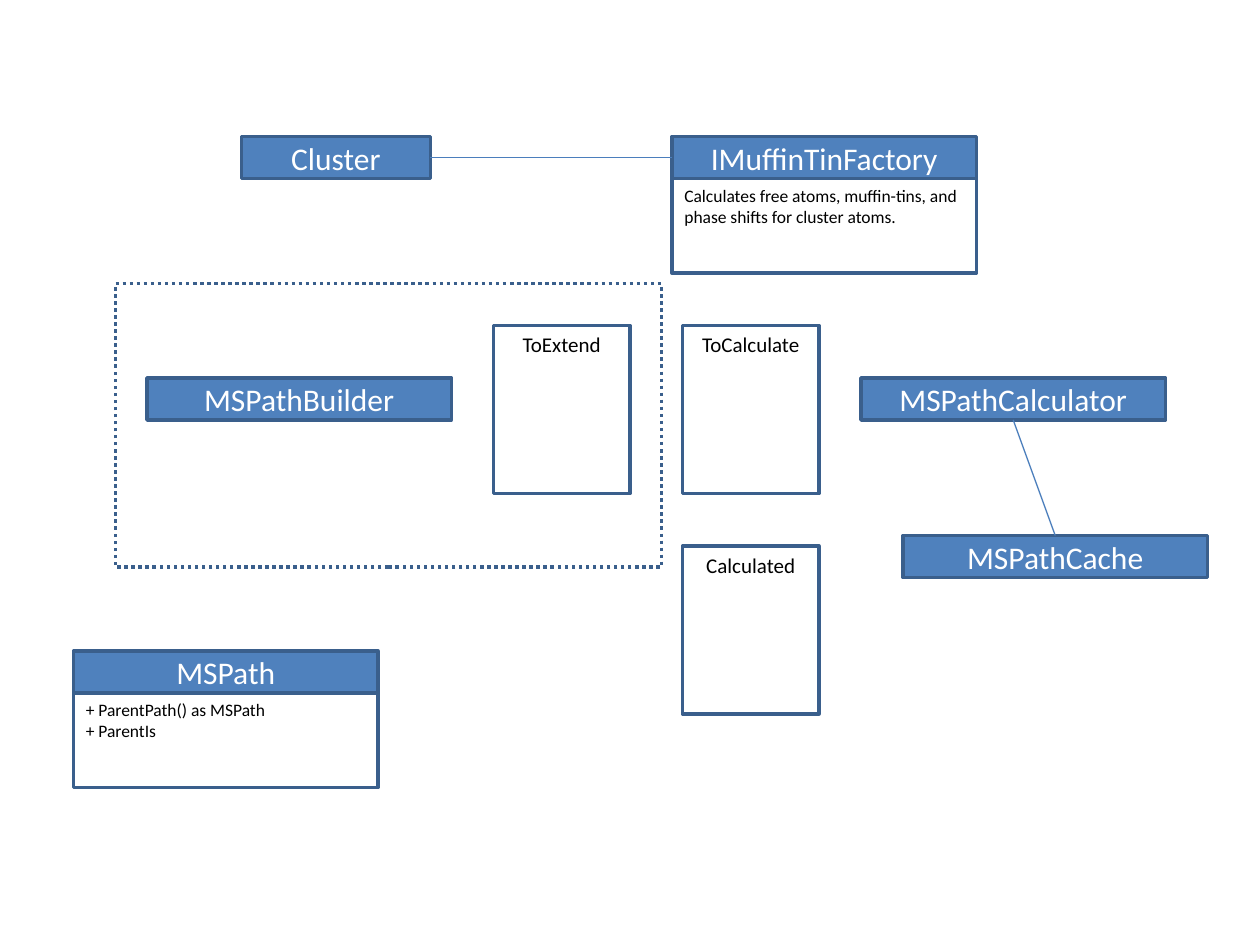
from dataclasses import dataclass

from lxml import etree
from pptx import Presentation
from pptx.dml.color import RGBColor
from pptx.enum.dml import MSO_LINE
from pptx.enum.shapes import MSO_CONNECTOR, MSO_SHAPE
from pptx.enum.text import MSO_ANCHOR, PP_ALIGN
from pptx.oxml.ns import qn
from pptx.util import Inches, Pt

RECTANGLE = MSO_SHAPE.RECTANGLE
STRAIGHT = MSO_CONNECTOR.STRAIGHT
DOTTED = MSO_LINE.ROUND_DOT
TOP, MIDDLE = MSO_ANCHOR.TOP, MSO_ANCHOR.MIDDLE
LEFT, CENTER = PP_ALIGN.LEFT, PP_ALIGN.CENTER
TOP_SITE, LEFT_SITE, BOTTOM_SITE, RIGHT_SITE = range(4)
BLANK_LAYOUT = 6

COLUMNS, ROWS = 120, 90
CLASS_WIDTH, HEADER_HEIGHT, BODY_HEIGHT = 29, 4, 9
QUEUE_WIDTH, QUEUE_HEIGHT = 13, 16


@dataclass(frozen=True)
class Theme:
    font: str = "Calibri"
    accent: RGBColor = RGBColor(0x4F, 0x81, 0xBD)
    border: RGBColor = RGBColor(0x3A, 0x5F, 0x8C)
    link: RGBColor = RGBColor(0x4B, 0x7E, 0xBC)
    light: RGBColor = RGBColor(0xFF, 0xFF, 0xFF)
    dark: RGBColor = RGBColor(0, 0, 0)
    header_size: float = 18
    queue_size: float = 12
    body_size: float = 10
    border_width: float = 2
    link_width: float = 0.75


class Diagram:
    def __init__(self, deck, theme):
        self.theme = theme
        self.slide = deck.slides.add_slide(deck.slide_layouts[BLANK_LAYOUT])
        self.column = deck.slide_width / COLUMNS
        self.row = deck.slide_height / ROWS

    def box(self, column, row, width, height, fill=None):
        box = self.slide.shapes.add_shape(
            RECTANGLE,
            round(column * self.column), round(row * self.row),
            round(width * self.column), round(height * self.row))
        box.shadow.inherit = False
        if fill is None:
            box.fill.background()
        else:
            box.fill.solid()
            box.fill.fore_color.rgb = fill
        box.line.color.rgb = self.theme.border
        box.line.width = Pt(self.theme.border_width)
        return box

    def add_text(self, box, lines, size, color, align, anchor):
        frame = box.text_frame
        frame.word_wrap = True
        frame.vertical_anchor = anchor
        for index, line in enumerate(lines):
            para = frame.add_paragraph() if index else frame.paragraphs[0]
            para.alignment = align
            span = para.add_run()
            span.text = line
            span.font.name = self.theme.font
            span.font.size = Pt(size)
            span.font.color.rgb = color

    def group_frame(self, column, row, width, height):
        self.box(column, row, width, height).line.dash_style = DOTTED

    def class_box(self, name, column, row, width=CLASS_WIDTH, details=()):
        theme = self.theme
        header = self.box(column, row, width, HEADER_HEIGHT, theme.accent)
        self.add_text(header, [name], theme.header_size, theme.light, CENTER, MIDDLE)
        if details:
            body = self.box(column, row + HEADER_HEIGHT, width, BODY_HEIGHT, theme.light)
            self.add_text(body, details, theme.body_size, theme.dark, LEFT, TOP)
        return header

    def queue(self, name, column, row):
        theme = self.theme
        box = self.box(column, row, QUEUE_WIDTH, QUEUE_HEIGHT, theme.light)
        self.add_text(box, [name], theme.queue_size, theme.dark, CENTER, TOP)

    def link(self, start, start_site, end, end_site):
        line = self.slide.shapes.add_connector(STRAIGHT, 0, 0, 0, 0)
        line.begin_connect(start, start_site)
        line.end_connect(end, end_site)
        line.line.color.rgb = self.theme.link
        line.line.width = Pt(self.theme.link_width)
        etree.SubElement(line._element.spPr, qn("a:effectLst"))


deck = Presentation()
deck.slide_width, deck.slide_height = Inches(10), Inches(7.5)
diagram = Diagram(deck, Theme())

diagram.group_frame(11, 27, 52, 27)

cluster = diagram.class_box("Cluster", 23, 13, width=18)
factory = diagram.class_box("IMuffinTinFactory", 64, 13, details=[
    "Calculates free atoms, muffin-tins, and phase shifts for cluster atoms."])
diagram.class_box("MSPathBuilder", 14, 36)
calculator = diagram.class_box("MSPathCalculator", 82, 36)
cache = diagram.class_box("MSPathCache", 86, 51)
diagram.class_box("MSPath", 7, 62, details=["+ ParentPath() as MSPath", "+ ParentIs"])

for name, column, row in (("ToExtend", 47, 31), ("ToCalculate", 65, 31), ("Calculated", 65, 52)):
    diagram.queue(name, column, row)

diagram.link(cluster, RIGHT_SITE, factory, LEFT_SITE)
diagram.link(calculator, BOTTOM_SITE, cache, TOP_SITE)

deck.save("out.pptx")
